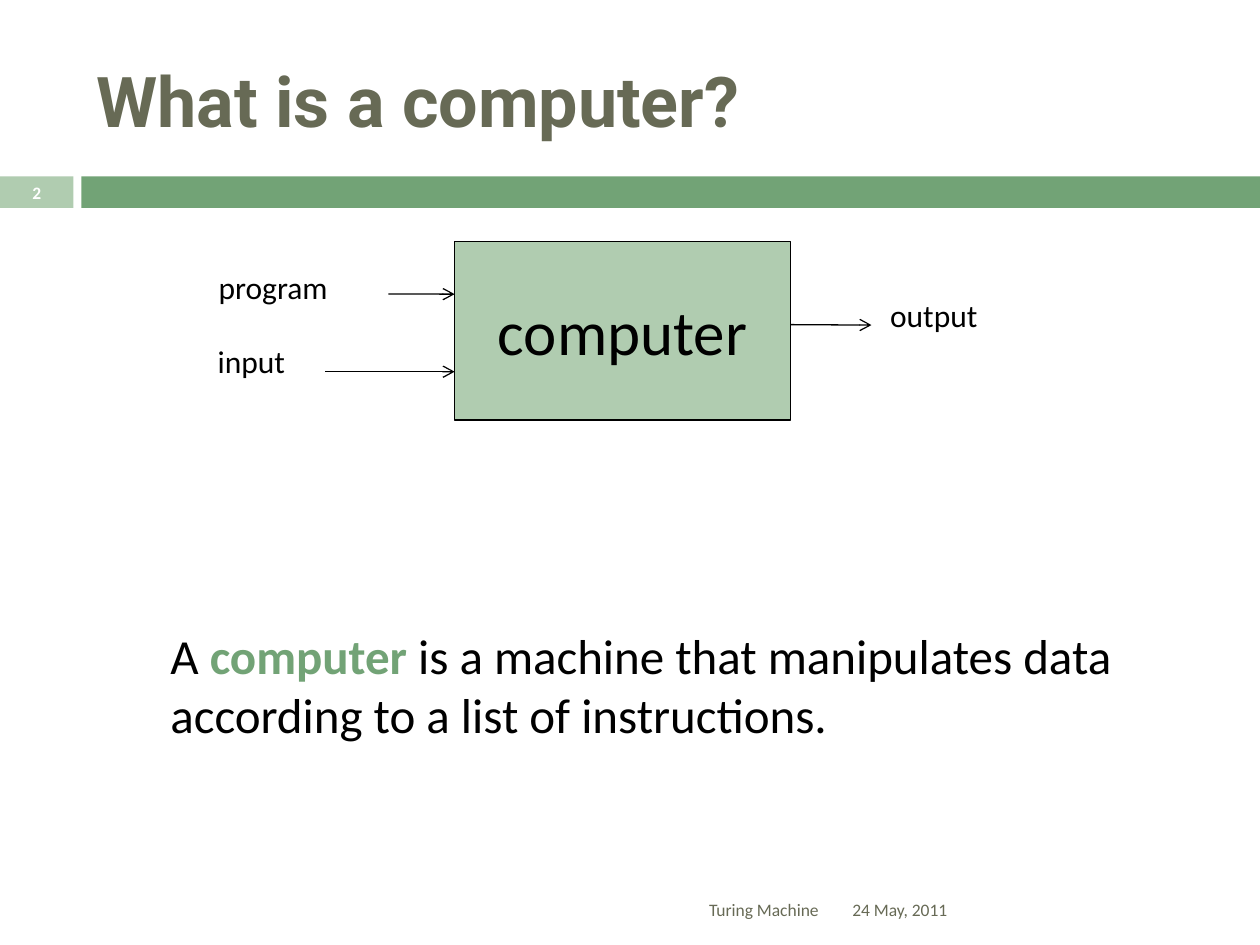
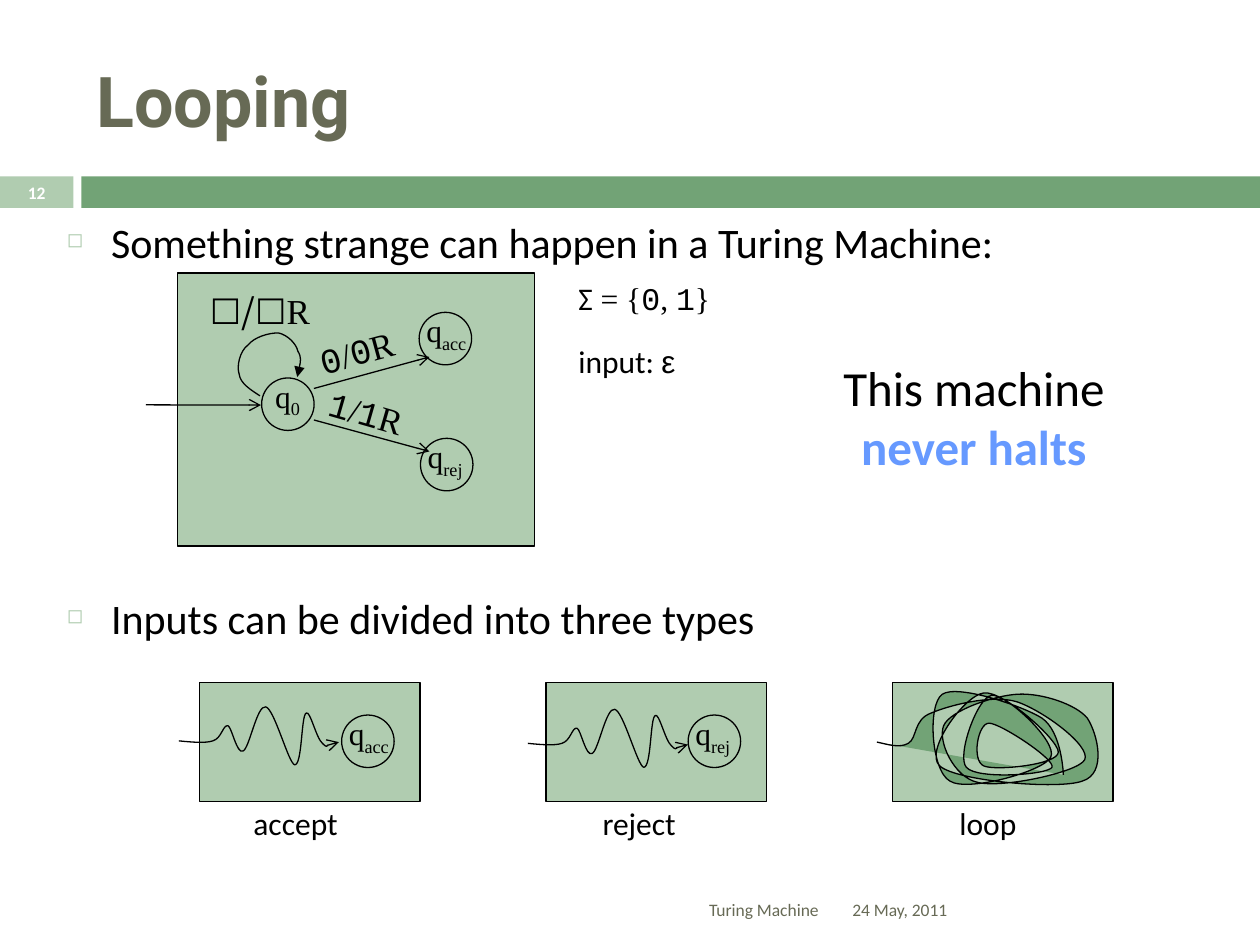
"""Build two lecture slides on computers and looping Turing machines."""
import pptx
import pptx.util
import pptx.dml.color
import pptx.enum.shapes
import pptx.enum.text
import pptx.oxml.ns
import lxml.etree

RGBColor = pptx.dml.color.RGBColor
BLACK = RGBColor(0x00, 0x00, 0x00)
WHITE = RGBColor(0xFF, 0xFF, 0xFF)
GREEN = RGBColor(0x72, 0xA3, 0x76)
PALE = RGBColor(0xB0, 0xCC, 0xB0)
OLIVE = RGBColor(0x67, 0x6A, 0x55)
BLUE = RGBColor(0x66, 0x99, 0xFF)
SERIF = {"name": "Times New Roman"}
MONO = {"name": "Courier New"}
RECTANGLE = pptx.enum.shapes.MSO_SHAPE.RECTANGLE
OVAL = pptx.enum.shapes.MSO_SHAPE.OVAL
STRAIGHT = pptx.enum.shapes.MSO_CONNECTOR.STRAIGHT
LEFT, CENTER, RIGHT = (pptx.enum.text.PP_ALIGN.LEFT, pptx.enum.text.PP_ALIGN.CENTER,
                       pptx.enum.text.PP_ALIGN.RIGHT)
TOP, MIDDLE = pptx.enum.text.MSO_ANCHOR.TOP, pptx.enum.text.MSO_ANCHOR.MIDDLE
qn = pptx.oxml.ns.qn

deck = pptx.Presentation()
deck.slide_width, deck.slide_height = pptx.util.Inches(10), pptx.util.Inches(7.5)
CELL = deck.slide_width / 120
MILLI = deck.slide_width / 1000


def write(shape, spans, size=18, color=BLACK, name="Calibri", bold=False, align=LEFT, anchor=TOP):
    frame = shape.text_frame
    frame.word_wrap = True
    frame.auto_size = pptx.enum.text.MSO_AUTO_SIZE.NONE
    frame.vertical_anchor = anchor
    if align == LEFT:
        frame.margin_right = 0
    para = frame.paragraphs[0]
    para.alignment = align
    para.font.size = pptx.util.Pt(size)
    para.font.name, para.font.bold, para.font.color.rgb = name, bold, color
    for text, style in spans:
        if text == "\n":
            para.add_line_break()
            continue
        span = para.add_run()
        span.text = text
        if "name" in style:
            span.font.name = style["name"]
        if "color" in style:
            span.font.bold, span.font.color.rgb = True, style["color"]
        if "baseline" in style:
            span._r.get_or_add_rPr().set("baseline", style["baseline"])


def finish(shape, fill=None, line=BLACK, head=None):
    if hasattr(shape, "fill"):
        shape.shadow.inherit = False
        if fill is None:
            shape.fill.background()
        else:
            shape.fill.solid()
            shape.fill.fore_color.rgb = fill
    else:
        lxml.etree.SubElement(shape._element.spPr, qn("a:effectLst"))
    if line is None:
        shape.line.fill.background()
        return
    shape.line.color.rgb = line
    shape.line.width = pptx.util.Pt(0.75)
    if head:
        outline = shape.line._get_or_add_ln()
        lxml.etree.SubElement(outline, qn("a:tailEnd"), type=head)


pages = []
for title, number in [("What is a computer?", "2"), ("Looping", "12")]:
    page = deck.slides.add_slide(deck.slide_layouts[5])
    pages.append(page)
    for column, columns, color in [(0, 7, PALE), (7.75, 112.25, GREEN)]:
        band = page.shapes.add_shape(RECTANGLE, *[int(n * CELL) for n in (column, 16.8, columns, 3)])
        finish(band, color, None)
    heading = page.shapes.title
    heading.left, heading.top, heading.width, heading.height = [int(n * CELL) for n in (8, 3, 107, 13)]
    write(heading, [(title, {})], 40, OLIVE, "Roboto", True, anchor=MIDDLE)
    for place, text, color, bold, align in [
        ((80, 84.2, 35, 4.8), "24 May, 2011", OLIVE, False, LEFT),
        ((0, 16.7, 7, 3.2), number, WHITE, True, CENTER),
        ((8, 84.2, 71.15, 4.8), "Turing Machine", OLIVE, False, RIGHT),
    ]:
        footer = page.shapes.add_textbox(*[int(n * CELL) for n in place])
        write(footer, [(text, {})], 10, color, bold=bold, align=align, anchor=MIDDLE)
computer_page, loop_page = pages

machine = computer_page.shapes.add_shape(RECTANGLE, *[int(n * CELL) for n in (43.3, 23, 32, 17)])
finish(machine, PALE)
write(machine, [("computer", {})], 36, align=CENTER, anchor=MIDDLE)

for column, row, columns, rows in [(16.92, 26, 34, 26)] + [(19 + 33 * i, 65, 21, 11.35) for i in range(3)]:
    panel = loop_page.shapes.add_shape(
        RECTANGLE, *[int(n * CELL) for n in (column, row, columns, rows)])
    finish(panel, PALE)

for column, row, state, shift in [
    (24.92, 36, "0", 0.1), (39.92, 29.75, "acc", -0.5), (40.05, 41.75, "rej", -0.5),
    (32.54, 68.1, "acc", -0.5), (65.54, 68.1, "rej", -0.5),
]:
    circle = loop_page.shapes.add_shape(OVAL, *[int(n * CELL) for n in (column, row, 5, 5)])
    finish(circle)
    label = loop_page.shapes.add_textbox(
        *[int(n * CELL) for n in (column + shift, row - 0.72, 6.3, 4.8)])
    write(label, [("q", {}), (state, {"baseline": "-25000"})], name="Times New Roman")

for page, *ends in [
    (computer_page, 31, 35.4, 43.3, 35.4), (computer_page, 37, 28, 43.3, 28.02),
    (computer_page, 75.3, 30.92, 83, 30.96), (loop_page, 29.9, 37, 40.9, 34),
    (loop_page, 29.9, 40, 40.9, 43), (loop_page, 13.9, 38.56, 24.85, 38.58),
]:
    arrow = page.shapes.add_connector(STRAIGHT, *[int(n * CELL) for n in ends])
    finish(arrow, head="arrow")

self_loop = [(190, 272), (197, 267), (205, 261), (212, 263), (218, 263), (229, 270), (231, 278),
             (235, 285), (234, 297), (231, 304), (227, 310), (218, 314), (212, 313),
             (206, 314), (200, 310), (193, 305)]
wave = [(142, 588), (152, 589), (163, 590), (169, 588), (176, 586), (177, 575), (181, 576),
        (184, 577), (188, 599), (193, 596), (198, 594), (204, 559), (211, 561),
        (218, 563), (229, 606), (234, 607), (240, 607), (239, 568), (243, 566),
        (246, 563), (251, 586), (256, 590), (260, 594), (269, 589), (269, 589)]
tangle = [(696, 589), (705, 591), (714, 594), (721, 590), (728, 586), (725, 571), (739, 566),
          (753, 560), (787, 551), (807, 557), (828, 564), (866, 592), (861, 603),
          (856, 613), (795, 626), (776, 621), (757, 617), (744, 588), (749, 576),
          (754, 564), (789, 552), (808, 551), (827, 550), (854, 559), (863, 570),
          (871, 582), (879, 614), (859, 620), (840, 627), (759, 620), (746, 608),
          (733, 597), (765, 552), (781, 550), (796, 548), (840, 587), (840, 597),
          (840, 607), (790, 612), (781, 608), (771, 604), (776, 574), (785, 574),
          (794, 574), (838, 603), (835, 609), (832, 615), (775, 619), (767, 609),
          (759, 600), (776, 553), (787, 552), (798, 550), (840, 589), (834, 601),
          (829, 612), (768, 629), (754, 620), (739, 612), (736, 559), (748, 551),
          (760, 543), (811, 560), (827, 570), (843, 581), (844, 615), (844, 615)]
second_wave = [(x + 277, y + 2) for x, y in wave]
for knots, turn, fill, head in [(self_loop, 248.5, None, "triangle"), (wave, 0, None, "arrow"),
                                (second_wave, 0, None, "arrow"), (tangle, 0, GREEN, None)]:
    builder = loop_page.shapes.build_freeform(*knots[0], scale=MILLI)
    builder.add_line_segments(knots[1:], close=False)
    curve = builder.convert_to_shape()
    curve.rotation = turn
    segments = list(curve._element.iter(qn("a:lnTo")))
    for start in range(0, len(segments), 3):
        bend = lxml.etree.SubElement(segments[start].getparent(), qn("a:cubicBezTo"))
        for segment in segments[start:start + 3]:
            bend.append(segment[0])
            segment.getparent().remove(segment)
    finish(curve, fill, head=head)

for page, place, size, turn, spans in [
    (computer_page, (15.05, 59, 103.7, 12.5), 28, 0, [
        ("A ", {}), ("computer ", {"color": GREEN}), ("is a machine that manipulates data ", {}),
        ("\n", {}), ("according to a list of instructions.", {})]),
    (computer_page, (19.55, 32, 10.7, 6), 18, 0, [("input", {})]),
    (computer_page, (19.65, 24.95, 16.3, 6), 18, 0, [("program", {})]),
    (computer_page, (83.6, 27.6, 13.4, 6), 18, 0, [("output", {})]),
    (loop_page, (53.9, 26, 20.2, 6), 18, 0, [
        ("Σ", {}), (" = {", SERIF), ("0", MONO), (", ", SERIF), ("1", MONO), ("}", SERIF)]),
    (loop_page, (53.9, 32, 14.3, 6), 18, 0, [("input: ", {}), ("ε", {"name": "Arial"})]),
    (loop_page, (18.8, 27, 13.1, 5.3), 20, 0, [("☐/☐", {"name": "Noto Sans CJK JP"}), ("R", SERIF)]),
    (loop_page, (29.2, 30.8, 10.3, 5.3), 20, 344.7, [
        ("0", MONO), ("/", SERIF), ("0", MONO), ("R", SERIF)]),
    (loop_page, (30.1, 36.8, 10.3, 5.3), 20, 16.1, [
        ("1", MONO), ("/", SERIF), ("1", MONO), ("R", SERIF)]),
    (loop_page, (22.95, 76, 13.1, 6), 18, 0, [("accept", {})]),
    (loop_page, (56.2, 76, 11.9, 6), 18, 0, [("reject", {})]),
    (loop_page, (90.2, 76, 9.8, 6), 18, 0, [("loop", {})]),
]:
    box = page.shapes.add_textbox(*[int(n * CELL) for n in place])
    box.rotation = turn
    write(box, spans, size)

verdict = loop_page.shapes.add_shape(RECTANGLE, *[int(n * CELL) for n in (77.5, 33.5, 30.5, 12.5)])
finish(verdict, line=WHITE)
write(verdict, [("This machine", {}), ("\n", {}), ("never halts", {"color": BLUE})], 28, align=CENTER)

body = loop_page.shapes.add_textbox(*[int(n * CELL) for n in (5.2, 20, 109.7, 47.4)])
body.text_frame.word_wrap = True
for text, gap in [("Something strange can happen in a Turing Machine:", 0),
                  ("Inputs can be divided into three types", 186)]:
    para = body.text_frame.add_paragraph() if gap else body.text_frame.paragraphs[0]
    para.text = text
    para.space_before = pptx.util.Pt(gap)
    settings = para._p.get_or_add_pPr()
    settings.set("marL", str(int(4.2 * CELL)))
    settings.set("indent", str(int(-4.2 * CELL)))
    bullet_color = lxml.etree.SubElement(settings, qn("a:buClr"))
    lxml.etree.SubElement(bullet_color, qn("a:srgbClr"), val=str(PALE))
    lxml.etree.SubElement(settings, qn("a:buSzPct"), val="48000")
    lxml.etree.SubElement(settings, qn("a:buChar"), char="◻")
    para.font.size, para.font.name, para.font.color.rgb = pptx.util.Pt(24), "Calibri", BLACK

deck.save("out.pptx")
